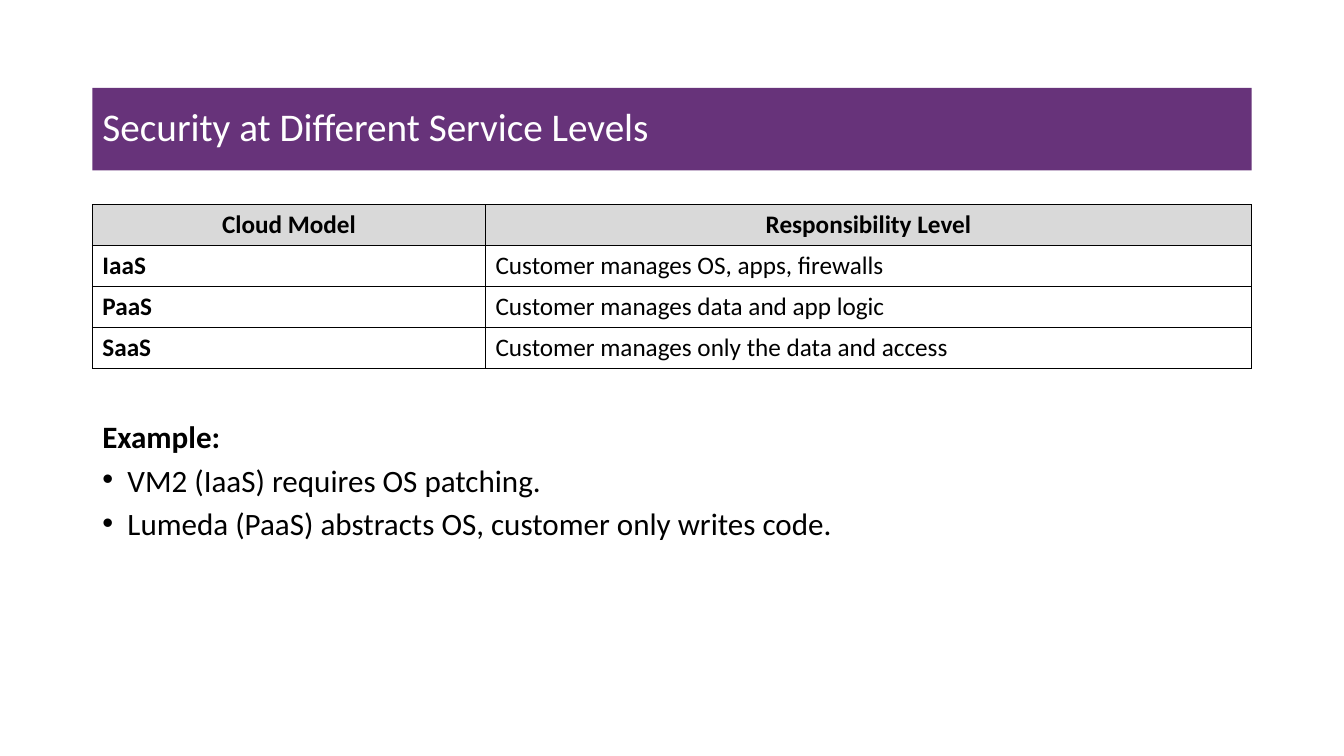
import dataclasses

import lxml.etree
import pptx
import pptx.dml.color
import pptx.enum.text
import pptx.oxml.ns
import pptx.util

Pt = pptx.util.Pt
ALIGN = pptx.enum.text.PP_ALIGN
MIDDLE = pptx.enum.text.MSO_ANCHOR.MIDDLE


@dataclasses.dataclass(frozen=True)
class Theme:
    """Hold the colours, font and type sizes of the slide."""

    face: str = "Calibri"
    purple: str = "67337A"
    white: str = "FFFFFF"
    black: str = "000000"
    grey: str = "D9D9D9"
    title: float = 28
    body: float = 22.2
    table: float = 18


THEME = Theme()
LEVELS = [
    ("Cloud Model", "Responsibility Level"),
    ("IaaS", "Customer manages OS, apps, firewalls"),
    ("PaaS", "Customer manages data and app logic"),
    ("SaaS", "Customer manages only the data and access"),
]
EXAMPLE = [
    "Example:",
    "VM2 (IaaS) requires OS patching.",
    "Lumeda (PaaS) abstracts OS, customer only writes code.",
]


def paint(fill, color):
    """Fill with a solid colour."""
    fill.solid()
    fill.fore_color.rgb = pptx.dml.color.RGBColor.from_string(color)


def style(para, size, color, bold=False):
    """Format every run of a paragraph."""
    for run in para.runs:
        run.font.name = THEME.face
        run.font.size = Pt(size)
        run.font.bold = bold
        run.font.color.rgb = pptx.dml.color.RGBColor.from_string(color)


def add(parent, tag, **attrs):
    """Append a drawing element and return it."""
    return lxml.etree.SubElement(parent, pptx.oxml.ns.qn(tag), attrs)


def edge(cell):
    """Draw a thin black border on all sides of a cell."""
    props = cell._tc.get_or_add_tcPr()
    for side in "LRTB":
        line = add(props, f"a:ln{side}", w=str(Pt(1)))
        add(add(line, "a:solidFill"), "a:srgbClr", val=THEME.black)


def add_title(slide, text, left, top, width, height):
    """Set the title as a purple band in the given box."""
    band = slide.shapes.title
    band.left, band.top, band.width, band.height = map(Pt, (left, top, width, height))
    paint(band.fill, THEME.purple)
    frame = band.text_frame
    frame.text = text
    frame.word_wrap = True
    frame.auto_size = pptx.enum.text.MSO_AUTO_SIZE.NONE
    frame.vertical_anchor = MIDDLE
    para = frame.paragraphs[0]
    para.alignment = ALIGN.LEFT
    para.line_spacing = 0.9
    style(para, THEME.title, THEME.white)


def add_levels(slide, rows, left, top, width, height):
    """Lay out the table of service levels in the given box."""
    frame = slide.shapes.add_table(
        len(rows), len(rows[0]), Pt(left), Pt(top), Pt(width), Pt(height)
    )
    table = frame.table
    table.horz_banding = False
    first = 280.8
    table.columns[0].width = Pt(first)
    table.columns[1].width = Pt(width - first)
    for r, row in enumerate(rows):
        table.rows[r].height = Pt(height / len(rows))
        for c, text in enumerate(row):
            cell = table.cell(r, c)
            cell.text = text
            cell.vertical_anchor = MIDDLE
            edge(cell)
            paint(cell.fill, THEME.white if r else THEME.grey)
            para = cell.text_frame.paragraphs[0]
            para.alignment = ALIGN.LEFT if r else ALIGN.CENTER
            style(para, THEME.table, THEME.black, bold=r == 0 or c == 0)


def add_notes(slide, lines, left, top, width, height):
    """Write a bold heading and its bullets in the given box."""
    box = slide.shapes.add_textbox(Pt(left), Pt(top), Pt(width), Pt(height))
    frame = box.text_frame
    frame.word_wrap = True
    frame.text = "\n".join(lines)
    for i, para in enumerate(frame.paragraphs):
        props = para._p.get_or_add_pPr()
        props.set("marL", str(Pt(18)))
        props.set("indent", str(-Pt(18)))
        if i:
            add(props, "a:buFont", typeface="Arial")
            add(props, "a:buChar", char="•")
            para.space_before = Pt(10)
        else:
            add(props, "a:buNone")
        para.line_spacing = 0.8
        style(para, THEME.body, THEME.black, bold=i == 0)


def main():
    """Build and save the slide."""
    deck = pptx.Presentation()
    deck.slide_width, deck.slide_height = Pt(960), Pt(540)
    slide = deck.slides.add_slide(deck.slide_layouts[5])
    left, width = 66, 828
    add_title(slide, "Security at Different Service Levels", left, 62.7, width, 59)
    add_levels(slide, LEVELS, left, 146.2, width, 116.8)
    add_notes(slide, EXAMPLE, left, 299.5, width, 95)
    deck.save("out.pptx")


if __name__ == "__main__":
    main()
